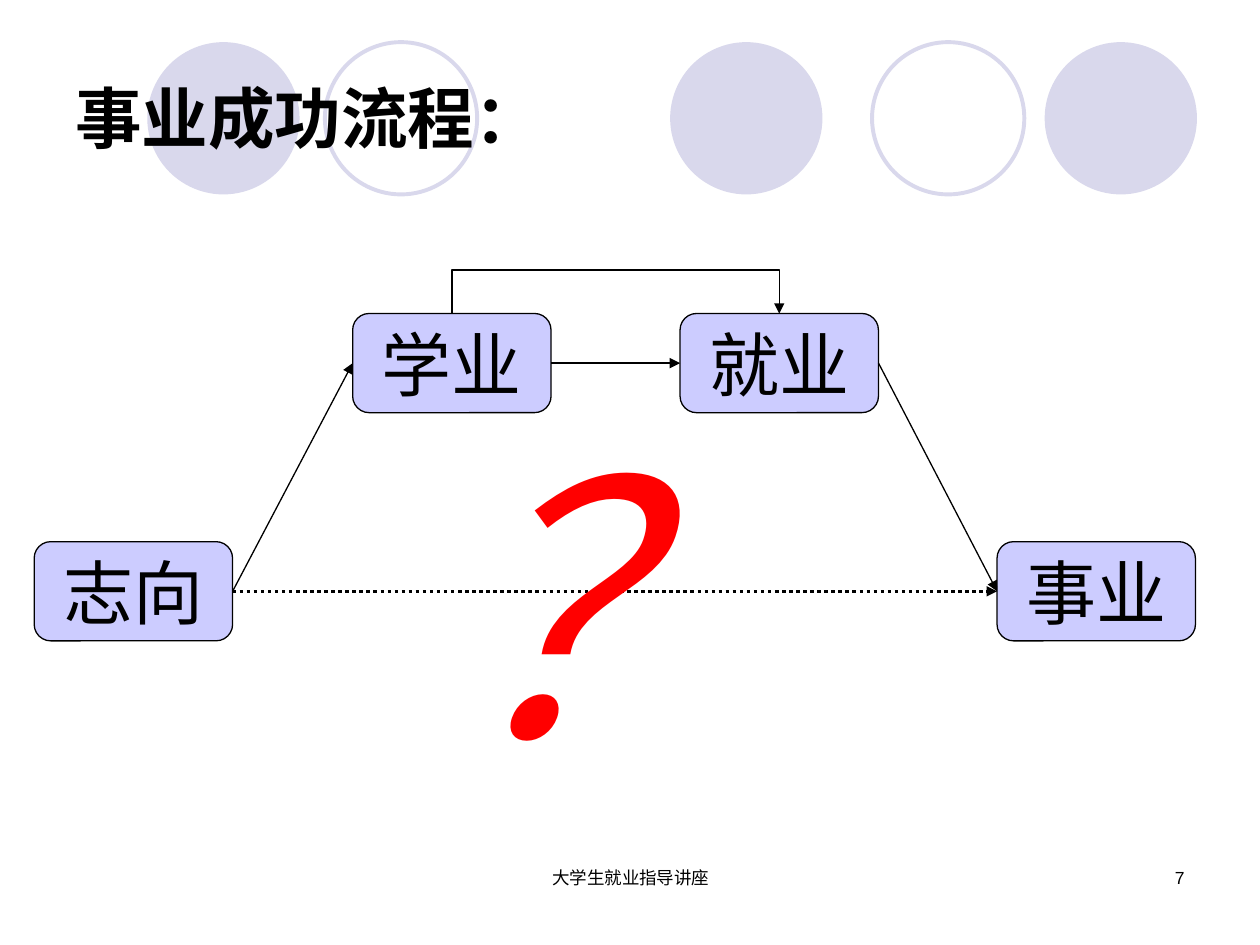
from dataclasses import dataclass

from lxml import etree
from pptx import Presentation
from pptx.dml.color import RGBColor
from pptx.enum.dml import MSO_LINE
from pptx.enum.shapes import MSO_CONNECTOR, MSO_SHAPE
from pptx.enum.text import MSO_ANCHOR, PP_ALIGN
from pptx.oxml.ns import qn
from pptx.util import Cm, Pt

ELLIPSE, ROUNDED = MSO_SHAPE.OVAL, MSO_SHAPE.ROUNDED_RECTANGLE
STRAIGHT, ELBOW = MSO_CONNECTOR.STRAIGHT, MSO_CONNECTOR.ELBOW
LEFT, CENTER, RIGHT = PP_ALIGN.LEFT, PP_ALIGN.CENTER, PP_ALIGN.RIGHT
TOP, MIDDLE = MSO_ANCHOR.TOP, MSO_ANCHOR.MIDDLE
DOTTED = MSO_LINE.ROUND_DOT
TOP_SITE, LEFT_SITE, RIGHT_SITE = 0, 1, 3


@dataclass(frozen=True)
class Theme:
    """Colours, font and type sizes of the slide."""
    font: str = "Arial"
    ink: RGBColor = RGBColor(0, 0, 0)
    pale: RGBColor = RGBColor(0xD9, 0xD8, 0xEC)
    node: RGBColor = RGBColor(0xCC, 0xCC, 0xFF)
    alert: RGBColor = RGBColor(0xFF, 0, 0)
    title: int = 38
    label: int = 40
    mark: int = 200
    small: int = 10


THEME = Theme()


def write(shape, text, size, align=LEFT, anchor=TOP, wrap=True, color=THEME.ink, **style):
    """Put one formatted paragraph into a shape."""
    tf = shape.text_frame
    tf.word_wrap, tf.vertical_anchor = wrap, anchor
    p = tf.paragraphs[0]
    p.alignment = align
    r = p.add_run()
    r.text = text
    r.font.color.rgb = color
    for name, value in {"name": THEME.font, "size": Pt(size), **style}.items():
        setattr(r.font, name, value)


def add_text(s, box, text, size, **style):
    """Add a text box at a box given in centimetres."""
    write(s.shapes.add_textbox(*map(Cm, box)), text, size, **style)


def add_circles(s, box):
    """Draw the row of filled and outlined circles behind the title."""
    left, top, _, size = box
    for offset, filled in ((0, True), (3.58, False), (10.54, True), (14.61, False), (18.09, True)):
        sp = s.shapes.add_shape(ELLIPSE, Cm(left + offset), Cm(top), Cm(size), Cm(size))
        sp.shadow.inherit = False
        if filled:
            sp.fill.solid()
            sp.fill.fore_color.rgb = THEME.pale
            sp.line.fill.background()
        else:
            sp.fill.background()
            sp.line.color.rgb = THEME.pale
            sp.line.width = Pt(2.25)


def add_node(s, left, top, width, height, text):
    """Add one labelled step of the flow."""
    sp = s.shapes.add_shape(ROUNDED, Cm(left), Cm(top), Cm(width), Cm(height))
    sp.shadow.inherit = False
    sp.fill.solid()
    sp.fill.fore_color.rgb = THEME.node
    sp.line.color.rgb = THEME.ink
    sp.line.width = Pt(0.75)
    write(sp, text, THEME.label, align=CENTER, anchor=MIDDLE, wrap=False)
    return sp


def add_arrow(s, start, end, sites=(RIGHT_SITE, LEFT_SITE), kind=STRAIGHT, width=0.75):
    """Join two steps with an arrow."""
    c = s.shapes.add_connector(kind, 0, 0, 0, 0)
    c.begin_connect(start, sites[0])
    c.end_connect(end, sites[1])
    c.line.color.rgb = THEME.ink
    c.line.width = Pt(width)
    etree.SubElement(c.line._get_or_add_ln(), qn("a:tailEnd"), type="triangle")
    etree.SubElement(c._element.spPr, qn("a:effectLst"))
    return c


def add_return_arrow(s, start, end, rise):
    """Loop an elbow arrow over the tops of two steps."""
    c = add_arrow(s, start, end, (TOP_SITE, TOP_SITE), ELBOW)
    span, middle, depth = c.width, c.left + c.width // 2, Cm(0.01)
    c.left, c.top = middle - depth // 2, start.top - span // 2
    c.width, c.height = depth, span
    xfrm = c._element.spPr.find(qn("a:xfrm"))
    xfrm.attrib.pop("flipH", None)
    xfrm.set("rot", str(90 * 60000))
    guides = c._element.spPr.find(qn("a:prstGeom")).get_or_add_avLst()
    ratio = -round(Cm(rise) / depth * 100000)
    etree.SubElement(guides, qn("a:gd"), name="adj1", fmla=f"val {ratio}")


def add_flow(s, box):
    """Draw the four steps, their arrows and the question mark."""
    left, top, width, height = box
    w, h = 4, 2
    low = top + height - h
    aim = add_node(s, left, low, w, h, "志向")
    study = add_node(s, left + 6.42, top, w, h, "学业")
    job = add_node(s, left + 13.02, top, w, h, "就业")
    career = add_node(s, left + width - w, low, w, h, "事业")
    for start, end in ((aim, study), (study, job), (job, career)):
        add_arrow(s, start, end)
    add_arrow(s, aim, career, width=2).line.dash_style = DOTTED
    add_text(s, (left + 8.02, top + 1.4, 7.8, 8.74), "？", THEME.mark,
             color=THEME.alert, italic=True)
    add_return_arrow(s, job, study, 0.87)


def add_footer(s, box):
    """Add the lecture name and the page number."""
    left, top, width, height = box
    add_text(s, (left, top, 8.05, height), "大学生就业指导讲座", THEME.small, align=CENTER)
    add_text(s, (left + width - 5.92, top, 5.92, height), "7", THEME.small, align=RIGHT)


def main():
    """Build and save the slide."""
    prs = Presentation()
    prs.slide_width, prs.slide_height = Cm(25.4), Cm(19.05)
    s = prs.slides.add_slide(prs.slide_layouts[6])
    add_circles(s, (2.97, 0.85, 21.16, 3.07))
    add_text(s, (1.27, 0.76, 22.86, 3.18), "事业成功流程：", THEME.title,
             anchor=MIDDLE, bold=True)
    add_flow(s, (0.69, 6.32, 23.41, 6.6))
    add_footer(s, (8.69, 17.35, 15.44, 1.27))
    prs.save("out.pptx")


if __name__ == "__main__":
    main()
